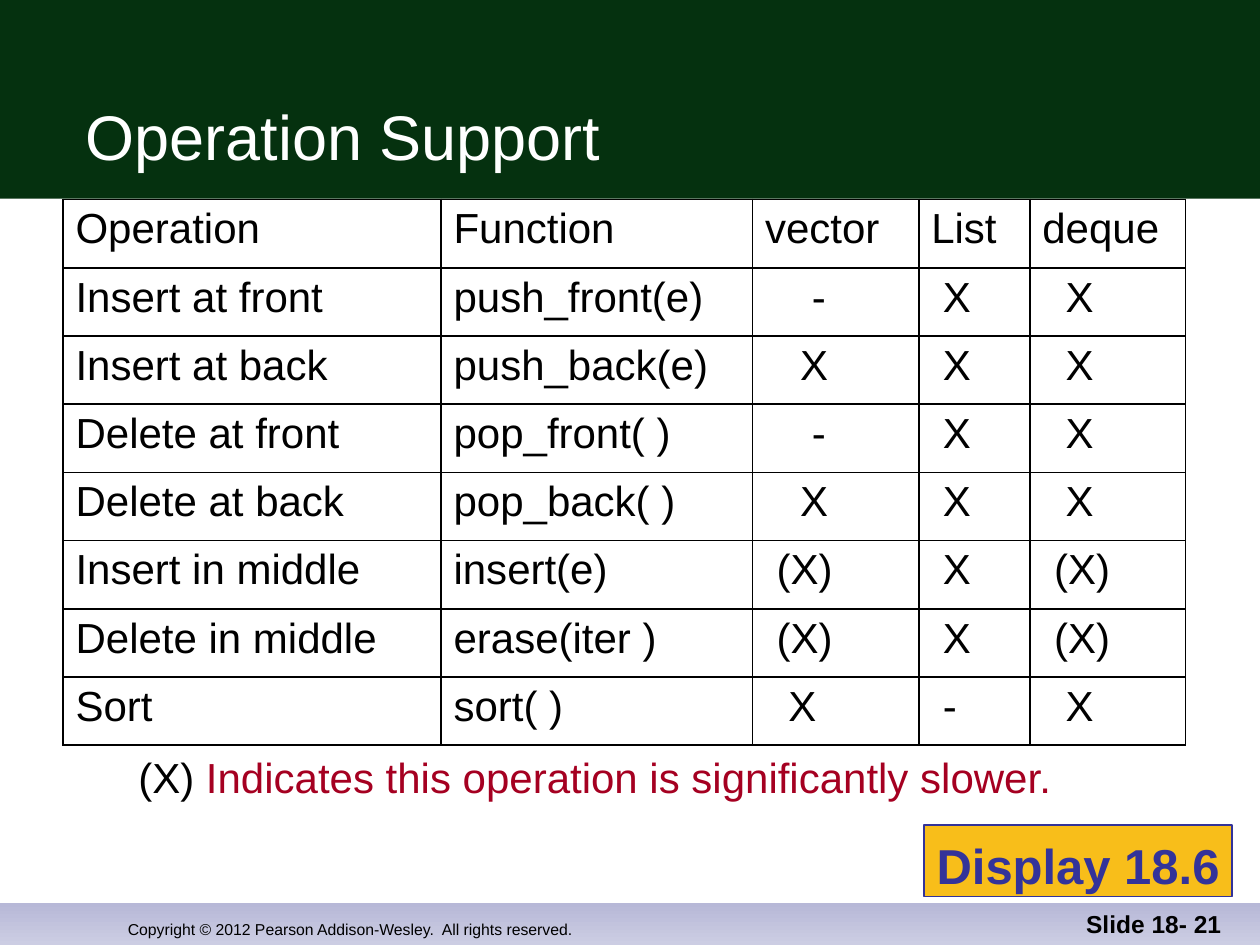
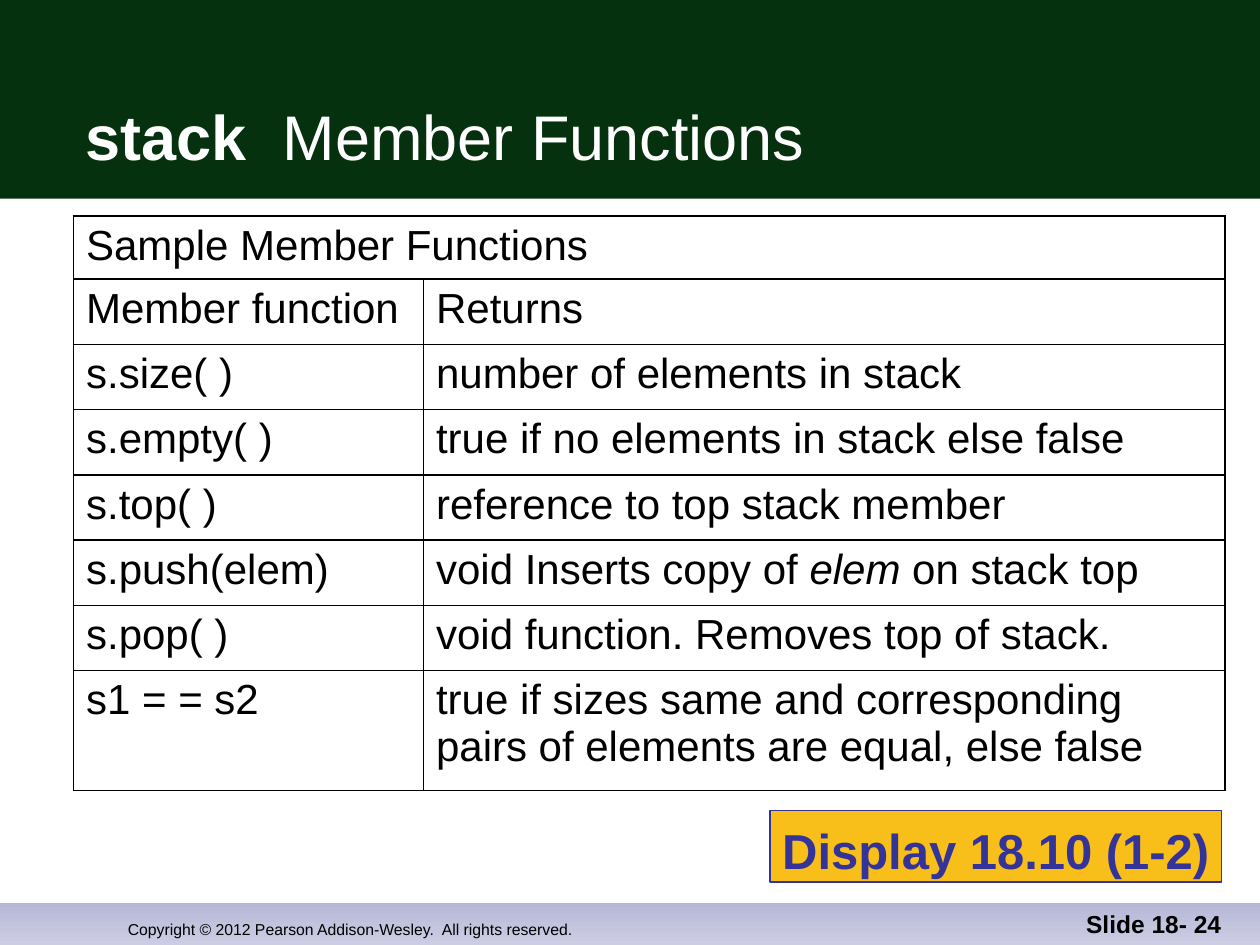
from lxml import etree
from pptx import Presentation
from pptx.dml.color import RGBColor
from pptx.enum.shapes import MSO_SHAPE
from pptx.enum.text import MSO_ANCHOR, PP_ALIGN
from pptx.oxml.ns import qn
from pptx.util import Pt

RECTANGLE = MSO_SHAPE.RECTANGLE
TOP, BOTTOM = MSO_ANCHOR.TOP, MSO_ANCHOR.BOTTOM
LEFT, CENTER, RIGHT = PP_ALIGN.LEFT, PP_ALIGN.CENTER, PP_ALIGN.RIGHT

FONT = "Arial"
COLORS = {
    "text": "000000",
    "title": "FFFFFF",
    "title_band": "05310F",
    "footer_top": "B7B8D7",
    "footer_bottom": "CCCDE3",
    "note": "A50021",
    "label_fill": "F8BE1A",
    "label_text": "333399",
}
PAGE_WIDTH, PAGE_HEIGHT = 720, 540
TITLE_BAND_HEIGHT = 113.5
FOOTER_HEIGHT = 24
CELL_MARGIN = 7.2
SPACE_WIDTH = 6.67
BORDER_WIDTH = 1.08

SUPPORT_ROWS = [
    ("Operation", "Function", "vector", "List", "deque"),
    ("Insert at front", "push_front(e)", "-", "X", "X"),
    ("Insert at back", "push_back(e)", "X", "X", "X"),
    ("Delete at front", "pop_front( )", "-", "X", "X"),
    ("Delete at back", "pop_back( )", "X", "X", "X"),
    ("Insert in middle", "insert(e)", "(X)", "X", "(X)"),
    ("Delete in middle", "erase(iter )", "(X)", "X", "(X)"),
    ("Sort", "sort( )", "X", "-", "X"),
]
# Indent of each mark, in widths of a space, for vector, List and deque
MARK_INDENTS = [(4, 1, 2), (3, 1, 2), (4, 1, 2), (3, 1, 2), (1, 1, 1), (1, 1, 1), (2, 1, 2)]

STACK_ROWS = [
    ("Sample Member Functions", ""),
    ("Member function", "Returns"),
    ("s.size( )", "number of elements in stack"),
    ("s.empty( )", "true if no elements in stack else false"),
    ("s.top( )", "reference to top stack member"),
    ("s.push(elem)", [("void Inserts copy of ", {}), ("elem", {"italic": True}), (" on stack top", {})]),
    ("s.pop( )", "void function. Removes top of stack."),
    ("s1 = = s2", "true if sizes same and corresponding pairs of elements are equal, else false"),
]


def rgb(name):
    return RGBColor.from_string(COLORS[name])


def write(frame, content, size, color="text", bold=False, align=LEFT):
    """Fill a text frame with a string or a list of (text, changes) spans."""
    para = frame.paragraphs[0]
    para.alignment = align
    spans = [(content, {})] if isinstance(content, str) else content
    for text, changes in spans:
        span = para.add_run()
        span.text = text
        font = span.font
        font.name, font.size = FONT, Pt(size)
        font.bold = changes.get("bold", bold)
        font.italic = changes.get("italic", False)
        font.color.rgb = rgb(changes.get("color", color))


def add_text(page, area, content, size, anchor=TOP, **style):
    box = page.shapes.add_textbox(*map(Pt, area))
    frame = box.text_frame
    frame.word_wrap = True
    frame.vertical_anchor = anchor
    write(frame, content, size, **style)
    return box


def add_rectangle(page, area):
    box = page.shapes.add_shape(RECTANGLE, *map(Pt, area))
    box.shadow.inherit = False
    box.line.fill.background()
    return box


def add_frame(page, title, number):
    """Draw the bands, the title and the footer that every slide has."""
    footer = add_rectangle(page, (0, PAGE_HEIGHT - FOOTER_HEIGHT, PAGE_WIDTH, FOOTER_HEIGHT))
    footer.fill.gradient()
    footer.fill.gradient_angle = 270
    for stop, position, color in zip(footer.fill.gradient_stops, (0, 1), ("footer_top", "footer_bottom")):
        stop.position = position
        stop.color.rgb = rgb(color)
    band = add_rectangle(page, (0, 0, PAGE_WIDTH, TITLE_BAND_HEIGHT))
    band.fill.solid()
    band.fill.fore_color.rgb = rgb("title_band")
    add_text(page, (66, 504, 354, 36),
             "Copyright © 2012 Pearson Addison-Wesley.  All rights reserved.", 9, BOTTOM)
    add_text(page, (555, 504, 150, 36), f"Slide 18- {number}", 14, BOTTOM, bold=True, align=RIGHT)
    return add_text(page, (42, 24, 654, 78.5), title, 36, BOTTOM, color="title")


def add_tab_stop(box, position):
    properties = box.text_frame.paragraphs[0]._p.get_or_add_pPr()
    stops = etree.SubElement(properties, qn("a:tabLst"))
    etree.SubElement(stops, qn("a:tab"), pos=str(Pt(position)), algn="l")


def add_borders(cell):
    properties = cell._tc.get_or_add_tcPr()
    for side in ("a:lnL", "a:lnR", "a:lnT", "a:lnB"):
        line = etree.SubElement(properties, qn(side), w=str(Pt(BORDER_WIDTH)))
        fill = etree.SubElement(line, qn("a:solidFill"))
        etree.SubElement(fill, qn("a:srgbClr"), val=COLORS["text"])


def add_grid(page, left, top, widths, heights, rows):
    area = map(Pt, (left, top, sum(widths), sum(heights)))
    table = page.shapes.add_table(len(heights), len(widths), *area).table
    table.first_row = table.horz_banding = False
    for column, width in zip(table.columns, widths):
        column.width = Pt(width)
    for row, height, contents in zip(table.rows, heights, rows):
        row.height = Pt(height)
        for cell, content in zip(row.cells, contents):
            add_borders(cell)
            cell.fill.background()
            if content:
                write(cell.text_frame, content, 24)
    return table


def add_display_label(page, area, text):
    label = add_rectangle(page, area)
    label.fill.solid()
    label.fill.fore_color.rgb = rgb("label_fill")
    label.line.color.rgb = rgb("label_text")
    label.line.width = Pt(0.75)
    frame = label.text_frame
    frame.word_wrap = False
    frame.vertical_anchor = TOP
    frame.margin_top, frame.margin_bottom = Pt(6), Pt(2)
    write(frame, text, 28, color="label_text", bold=True, align=CENTER)


def add_operation_support(page):
    add_frame(page, "Operation Support", 21)
    table = add_grid(page, 36, 114, (216, 178, 95, 63.5, 89), [39] * 8, SUPPORT_ROWS)
    for row, indents in enumerate(MARK_INDENTS, start=1):
        for column, spaces in enumerate(indents, start=2):
            table.cell(row, column).margin_left = Pt(CELL_MARGIN + spaces * SPACE_WIDTH)
    note = [("(X)", {}), (" Indicates this operation is significantly slower.", {"color": "note"})]
    add_text(page, (72, 426, 537, 36), note, 24).text_frame.word_wrap = False
    add_display_label(page, (528, 471.5, 176, 41), "Display 18.6")


def add_stack_functions(page):
    title = add_frame(page, [("stack", {"bold": True}), ("\tMember Functions", {})], 24)
    add_tab_stop(title, 112.5)
    table = add_grid(page, 42, 123.5, (200, 458), [36] + [37.3] * 6 + [68.5], STACK_ROWS)
    table.cell(0, 0).merge(table.cell(0, 1))
    add_display_label(page, (440, 463, 258, 41), "Display 18.10 (1-2)")


def main():
    deck = Presentation()
    deck.slide_width, deck.slide_height = Pt(PAGE_WIDTH), Pt(PAGE_HEIGHT)
    blank = deck.slide_layouts[6]
    for add_content in (add_operation_support, add_stack_functions):
        add_content(deck.slides.add_slide(blank))
    deck.save("out.pptx")


if __name__ == "__main__":
    main()
